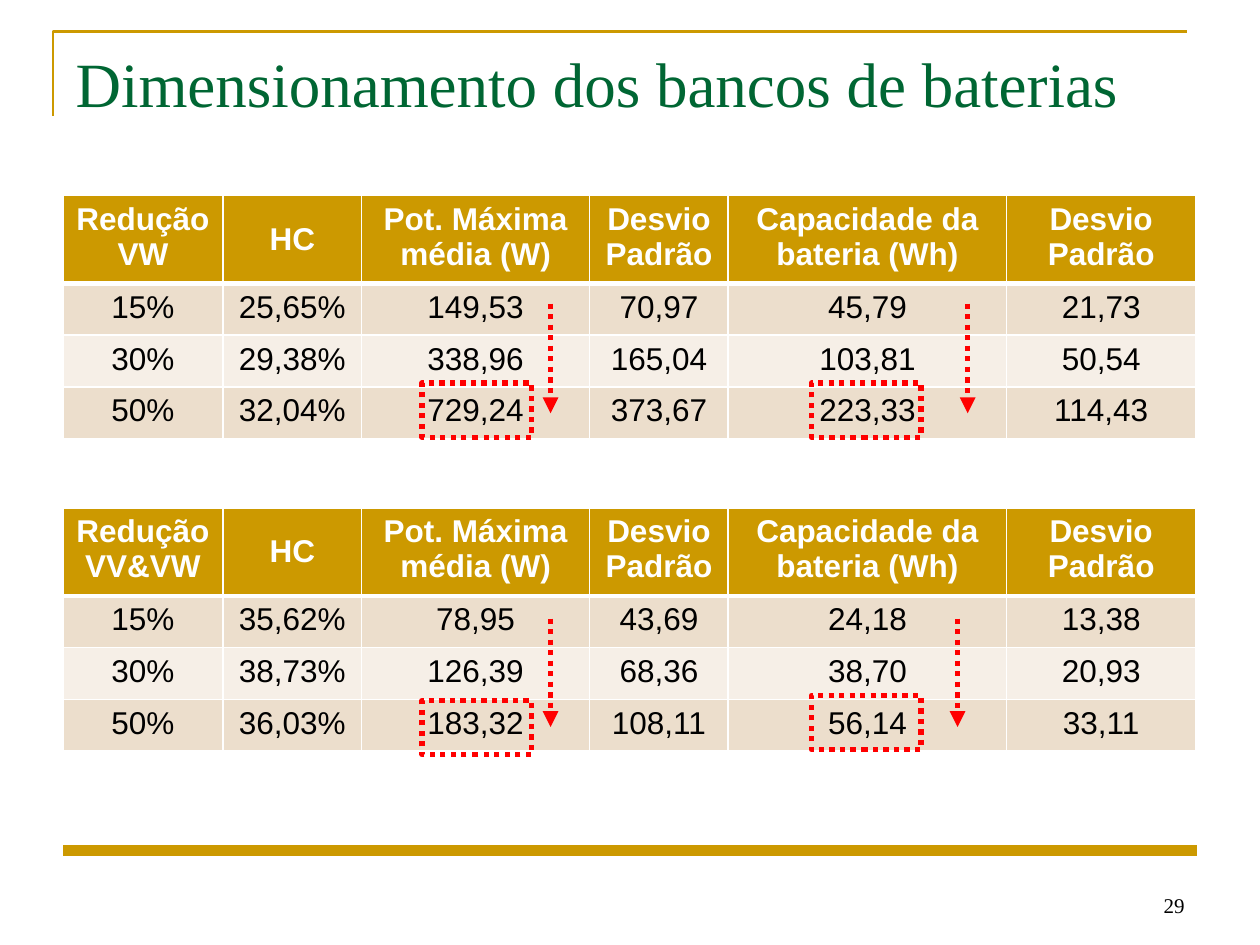
from dataclasses import dataclass
from typing import NamedTuple

from lxml.etree import SubElement
from pptx import Presentation
from pptx.dml.color import RGBColor
from pptx.enum.dml import MSO_LINE_DASH_STYLE as Dash
from pptx.enum.shapes import MSO_CONNECTOR as Connector, MSO_SHAPE as Shape
from pptx.enum.text import MSO_ANCHOR as Anchor, MSO_AUTO_SIZE as AutoSize, PP_ALIGN as Align
from pptx.oxml import parse_xml
from pptx.oxml.ns import nsdecls, qn
from pptx.util import Inches, Pt


@dataclass(frozen=True)
class Theme:
    gold: str = "CC9900"
    green: str = "006633"
    red: str = "FF0000"
    white: str = "FFFFFF"
    black: str = "000000"
    bands: tuple = ("ECDECC", "F6EFE7")
    serif: str = "Times New Roman"
    sans: str = "Arial"
    title_size: int = 36
    table_size: int = 18
    number_size: int = 12


class BatteryTable(NamedTuple):
    top: float
    reduction: str
    rows: tuple


class Arrow(NamedTuple):
    x: float
    top: float
    bottom: float


class Highlight(NamedTuple):
    left: float
    top: float


THEME = Theme()
LEFT, WIDTH = 0.5, 9
COLUMN_WIDTHS = (1.27, 1.1, 1.81, 1.1, 2.21, 1.5)
HEADER_HEIGHT, ROW_HEIGHT = 0.65, 0.41
HEADINGS = ("HC", "Pot. Máxima média (W)", "Desvio Padrão",
            "Capacidade da bateria (Wh)", "Desvio Padrão")
TABLES = (
    BatteryTable(1.55, "Redução\nVW", (
        ("15%", "25,65%", "149,53", "70,97", "45,79", "21,73"),
        ("30%", "29,38%", "338,96", "165,04", "103,81", "50,54"),
        ("50%", "32,04%", "729,24", "373,67", "223,33", "114,43"))),
    BatteryTable(4.03, "Redução VV&VW", (
        ("15%", "35,62%", "78,95", "43,69", "24,18", "13,38"),
        ("30%", "38,73%", "126,39", "68,36", "38,70", "20,93"),
        ("50%", "36,03%", "183,32", "108,11", "56,14", "33,11"))),
)
ARROWS = (Arrow(4.37, 2.41, 3.28), Arrow(7.68, 2.41, 3.28),
          Arrow(4.37, 4.91, 5.77), Arrow(7.6, 4.91, 5.77))
HIGHLIGHTS = (Highlight(3.35, 3.04), Highlight(6.44, 3.04),
              Highlight(6.44, 5.52), Highlight(3.35, 5.56))


def write_text(frame, text: str, *, size: int, font: str, color: str,
               bold: bool = False, align=Align.LEFT) -> None:
    frame.text = text
    for para in frame.paragraphs:
        para.alignment = align
        for span in para.runs:
            span.font.size = Pt(size)
            span.font.name = font
            span.font.bold = bold
            span.font.color.rgb = RGBColor.from_string(color)


def style_line(line, color: str, width: float, dash=None) -> None:
    line.color.rgb = RGBColor.from_string(color)
    line.width = Pt(width)
    if dash:
        line.dash_style = dash


def draw_line(page, start: tuple, end: tuple, color: str, width: float, dash=None):
    line = page.shapes.add_connector(Connector.STRAIGHT, *map(Inches, start + end))
    style_line(line.line, color, width, dash)
    SubElement(line._element.spPr, qn("a:effectLst"))
    return line


def set_borders(cell, top: float, bottom: float) -> None:
    properties = cell._tc.get_or_add_tcPr()
    sides = (("lnL", 1), ("lnR", 1), ("lnT", top), ("lnB", bottom))
    for index, (side, width) in enumerate(sides):
        properties.insert(index, parse_xml(
            f'<a:{side} {nsdecls("a")} w="{Pt(width)}"><a:solidFill>'
            f'<a:srgbClr val="{THEME.white}"/></a:solidFill></a:{side}>'))


def draw_table(page, data: BatteryTable) -> None:
    rows = ((data.reduction, *HEADINGS), *data.rows)
    height = HEADER_HEIGHT + ROW_HEIGHT * len(data.rows)
    table = page.shapes.add_table(
        len(rows), len(COLUMN_WIDTHS), Inches(LEFT), Inches(data.top),
        Inches(WIDTH), Inches(height)).table
    for column, width in zip(table.columns, COLUMN_WIDTHS):
        column.width = Inches(width)
    for r, values in enumerate(rows):
        header = r == 0
        table.rows[r].height = Inches(HEADER_HEIGHT if header else ROW_HEIGHT)
        for c, value in enumerate(values):
            cell = table.cell(r, c)
            cell.fill.solid()
            cell.fill.fore_color.rgb = RGBColor.from_string(
                THEME.gold if header else THEME.bands[(r - 1) % 2])
            cell.vertical_anchor = Anchor.MIDDLE if value == "HC" else Anchor.TOP
            write_text(cell.text_frame, value, size=THEME.table_size, font=THEME.sans,
                       color=THEME.white if header else THEME.black,
                       bold=header, align=Align.CENTER)
            set_borders(cell, top=3 if r == 1 else 1, bottom=3 if header else 1)


def draw_arrow(page, arrow: Arrow) -> None:
    line = draw_line(page, (arrow.x, arrow.top), (arrow.x, arrow.bottom),
                     THEME.red, 3, Dash.ROUND_DOT)
    SubElement(line.line._get_or_add_ln(), qn("a:tailEnd"), type="triangle")


def draw_highlight(page, mark: Highlight) -> None:
    box = page.shapes.add_shape(Shape.RECTANGLE, Inches(mark.left), Inches(mark.top),
                                Inches(0.87), Inches(0.43))
    box.shadow.inherit = False
    box.fill.background()
    style_line(box.line, THEME.red, 3, Dash.ROUND_DOT)


def draw_frame(page) -> None:
    builder = page.shapes.build_freeform(Inches(0.42), Inches(0.92))
    builder.add_line_segments([(Inches(0.42), Inches(0.25)), (Inches(9.42), Inches(0.25))],
                              close=False)
    corner = builder.convert_to_shape()
    corner.shadow.inherit = False
    corner.fill.background()
    style_line(corner.line, THEME.gold, 1.5)
    draw_line(page, (LEFT, 6.75), (LEFT + WIDTH, 6.75), THEME.gold, 6)


def draw_title(page) -> None:
    title = page.shapes.title
    title.left, title.top, title.width, title.height = map(Inches, (LEFT, 0.3, WIDTH, 0.69))
    frame = title.text_frame
    frame.auto_size = AutoSize.NONE
    frame.vertical_anchor = Anchor.TOP
    write_text(frame, "Dimensionamento dos bancos de baterias",
               size=THEME.title_size, font=THEME.serif, color=THEME.green)


def draw_page_number(page) -> None:
    box = page.shapes.add_textbox(*map(Inches, (7.17, 6.83, 2.33, 0.5)))
    frame = box.text_frame
    frame.word_wrap = True
    frame.vertical_anchor = Anchor.BOTTOM
    write_text(frame, "29", size=THEME.number_size, font=THEME.serif,
               color=THEME.black, align=Align.RIGHT)


def main() -> None:
    deck = Presentation()
    deck.slide_width, deck.slide_height = Inches(10), Inches(7.5)
    page = deck.slides.add_slide(deck.slide_layouts[5])
    draw_frame(page)
    draw_title(page)
    draw_page_number(page)
    for data in TABLES:
        draw_table(page, data)
    for arrow in ARROWS:
        draw_arrow(page, arrow)
    for mark in HIGHLIGHTS:
        draw_highlight(page, mark)
    deck.save("out.pptx")


if __name__ == "__main__":
    main()
